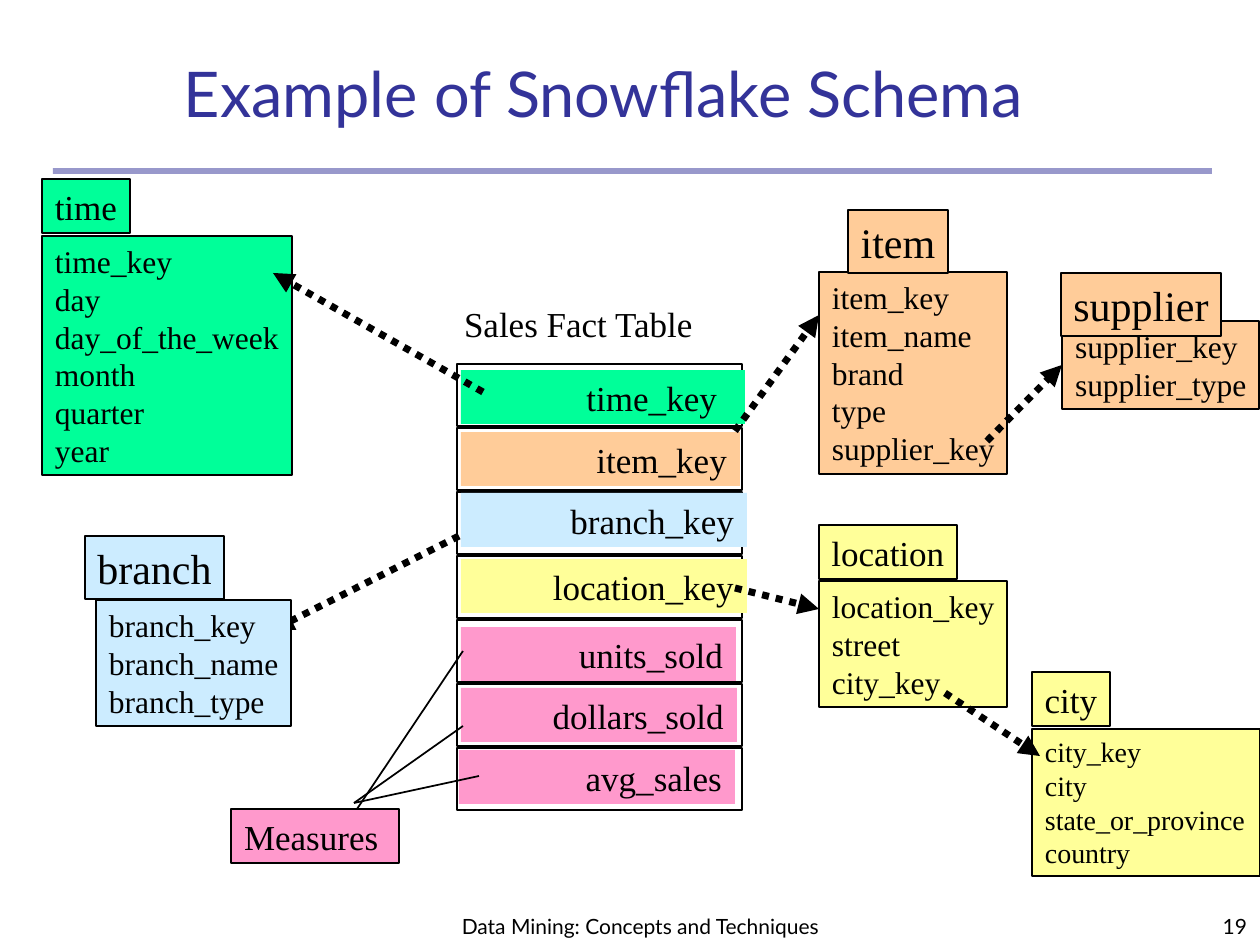
from lxml.etree import SubElement as Sub
from pptx import Presentation
from pptx.dml.color import RGBColor as RGB
from pptx.enum.dml import MSO_LINE as Dash
from pptx.enum.shapes import MSO_CONNECTOR as Conn, MSO_SHAPE as Kind
from pptx.enum.text import MSO_ANCHOR as Anchor, PP_ALIGN as Align
from pptx.oxml.ns import qn
from pptx.util import Emu, Pt

PX = 914400 / 126
SERIF, SANS = "Times New Roman", "Lato"
GREEN, PEACH, BLUE = "00FF99", "FFCC99", "CCECFF"
YELLOW, PINK, BLACK, NAVY = "FFFF99", "FF99CC", "000000", "333399"

# name: colour, head box, head size, body box, body size, fields
TABLES = {
    "time": (GREEN, (42, 179, 88, 54), 20, (42, 236, 250, 239), 18,
             ["time_key", "day", "day_of_the_week", "month", "quarter", "year"]),
    "location": (YELLOW, (819, 525, 138, 54), 20, (819, 581, 188, 126), 18,
                 ["location_key", "street", "city_key"]),
    "item": (PEACH, (848, 210, 100, 63), 24, (819, 272, 188, 202), 18,
             ["item_key", "item_name", "brand", "type", "supplier_key"]),
    "branch": (BLUE, (85, 536, 139, 63), 24, (96, 600, 195, 126), 18,
               ["branch_key", "branch_name", "branch_type"]),
    "supplier": (PEACH, (1061, 273, 160, 63), 24, (1062, 321, 197, 88), 18,
                 ["supplier_key", "supplier_type"]),
    "city": (YELLOW, (1032, 672, 78, 54), 20, (1032, 729, 228, 147), 16,
             ["city_key", "city", "state_or_province", "country"]),
}

# key, colour, left, top, width, right inset of its band
FACTS = [
    ("time_key", GREEN, 461, 370, 284, 28),
    ("item_key", PEACH, 461, 432, 279, 13),
    ("branch_key", BLUE, 461, 493, 286, 13),
    ("location_key", YELLOW, 461, 559, 286, 13),
    ("units_sold", PINK, 461, 627, 275, 13),
    ("dollars_sold", PINK, 461, 688, 276, 13),
    ("avg_sales", PINK, 459, 750, 276, 13),
]
ROW_X, ROW_Y, ROW_W, ROW_H, PITCH = 457, 364, 285, 62, 64

MEASURES = [(357, 809, 463, 651), (354, 803, 463, 726), (354, 803, 479, 776)]
LINKS = [(459, 536, 273, 630), (483, 392, 273, 273),
         (735, 588, 819, 609), (735, 431, 819, 315)]

prs = Presentation()
prs.slide_width, prs.slide_height = Emu(9144000), Emu(6858000)
slide = prs.slides.add_slide(prs.slide_layouts[6])
shapes = slide.shapes


def px(*vals):
    return [Emu(round(v * PX)) for v in vals]


def color(text):
    return RGB.from_string(text)


def write(shape, lines, size, font=SERIF, hue=BLACK, align=Align.LEFT,
          anchor=Anchor.TOP, wrap=False, right=13):
    frame = shape.text_frame
    frame.text = "\n".join(lines)
    frame.word_wrap, frame.vertical_anchor = wrap, anchor
    frame.margin_left, frame.margin_right = px(13, right)
    frame.margin_top, frame.margin_bottom = px(6, 6)
    for para in frame.paragraphs:
        para.alignment = align
        for run in para.runs:
            run.font.size, run.font.name = Pt(size), font
            run.font.color.rgb = color(hue)


def box(area, fill=None, width=0.75):
    """Draw a rectangle; no fill or a zero width leaves that part out."""
    rect = shapes.add_shape(Kind.RECTANGLE, *px(*area))
    rect.shadow.inherit = False
    if fill:
        rect.fill.solid()
        rect.fill.fore_color.rgb = color(fill)
    else:
        rect.fill.background()
    if width:
        rect.line.color.rgb = color(BLACK)
        rect.line.width = Pt(width)
    else:
        rect.line.fill.background()
    return rect


def label(area, text, size, **style):
    write(shapes.add_textbox(*px(*area)), [text], size, **style)


def table(name):
    """Draw a dimension table and return its body."""
    fill, top, big, area, small, fields = TABLES[name]
    body = box(area, fill)
    write(body, fields, small)
    write(box(top, fill), [name], big, align=Align.CENTER, anchor=Anchor.MIDDLE)
    return body


def line(ends, width=1):
    link = shapes.add_connector(Conn.STRAIGHT, *px(*ends))
    link.line.color.rgb = color(BLACK)
    link.line.width = Pt(width)
    Sub(link._element.spPr, qn("a:effectLst"))
    return link


def arrow(ends):
    link = line(ends, 4)
    link.line.dash_style = Dash.ROUND_DOT
    Sub(link.line._get_or_add_ln(), qn("a:tailEnd"), type="triangle")
    return link


rule = box((53, 168, 1159, 6), NAVY, 0)
tint = rule._element.spPr.find(qn("a:solidFill"))[0]
Sub(tint, qn("a:alpha"), val="50000")
label((441, 872, 399, 73), "Data Mining: Concepts and Techniques", 12,
      font=SANS, align=Align.CENTER, anchor=Anchor.BOTTOM, wrap=True)
label((998, 882, 262, 63), "19", 12,
      font=SANS, align=Align.RIGHT, anchor=Anchor.BOTTOM, wrap=True)
label((68, 68, 1071, 68), "Example of Snowflake Schema", 36, font=SANS,
      hue=NAVY, align=Align.CENTER, anchor=Anchor.BOTTOM, wrap=True)

table("time")
table("location")
label((451, 296, 257, 54), "Sales Fact Table", 20)
for i, (key, fill, x, y, w, right) in enumerate(FACTS):
    box((ROW_X, ROW_Y + i * PITCH, ROW_W, ROW_H), width=1)
    write(box((x, y, w, 54), fill, 0), [key], 20,
          align=Align.RIGHT, wrap=True, right=right)

write(box((231, 809, 168, 54), PINK), ["Measures"], 20, wrap=True)
for ends in MEASURES:
    line(ends)
for ends in LINKS:
    arrow(ends)

table("item")
table("branch")
maker = table("supplier")
arrow((987, 441, 1061, 368)).end_connect(maker, 1)
table("city")
arrow((945, 693, 1040, 756))

prs.save("out.pptx")
